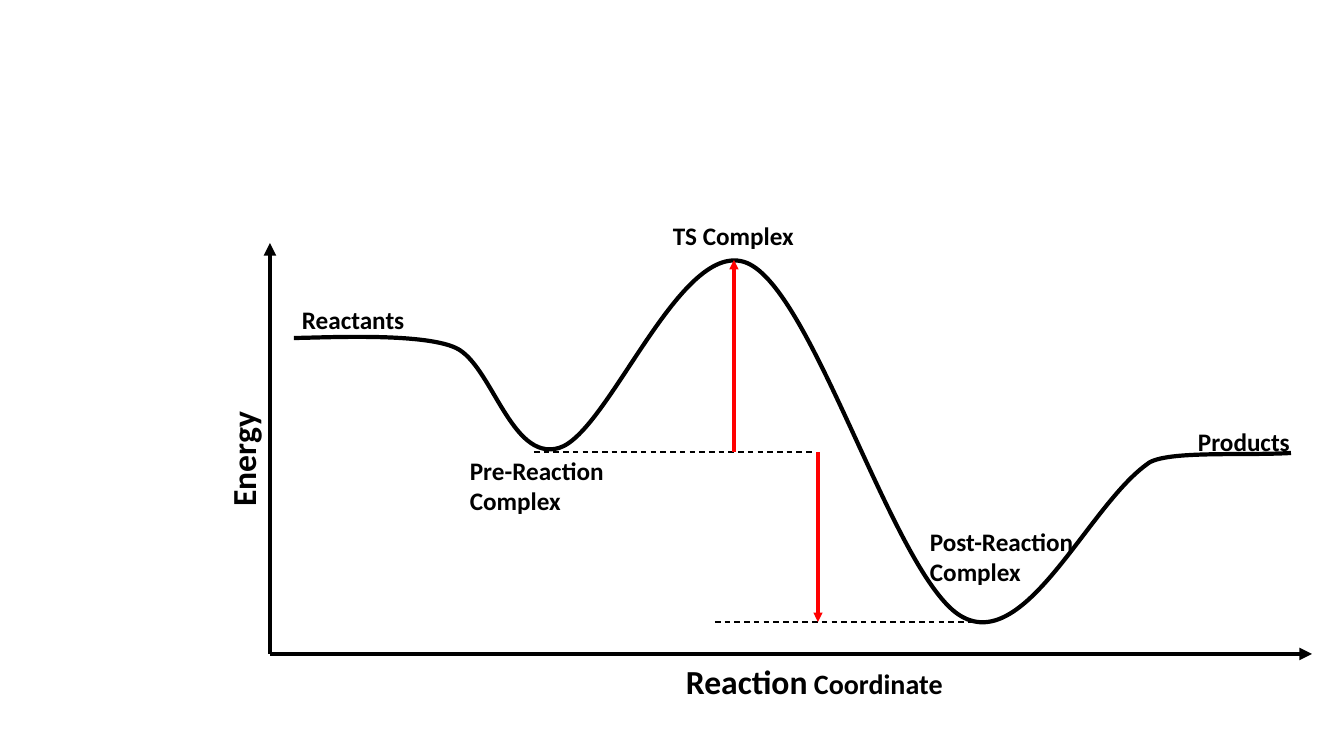
from lxml.etree import SubElement
from pptx import Presentation
from pptx.dml.color import RGBColor
from pptx.enum.dml import MSO_LINE
from pptx.enum.shapes import MSO_CONNECTOR
from pptx.enum.text import MSO_AUTO_SIZE
from pptx.oxml.ns import qn
from pptx.util import Pt

PX = 12192000 / 1344
BLACK, RED = "000000", "FF0000"


def add_text(page, lines, left, top, width, height, wrap=False, turn=0):
    box = page.shapes.add_textbox(*(round(n * PX) for n in (left, top, width, height)))
    box.rotation = turn
    frame = box.text_frame
    frame.word_wrap = wrap
    frame.auto_size = MSO_AUTO_SIZE.SHAPE_TO_FIT_TEXT
    for index, spans in enumerate(lines):
        para = frame.paragraphs[0] if index == 0 else frame.add_paragraph()
        for text, size in spans:
            span = para.add_run()
            span.text = text
            span.font.name = "Calibri"
            span.font.size = Pt(size)
            span.font.bold = True
            span.font.color.rgb = RGBColor.from_string(BLACK)


def add_line(page, start, end, width, color=BLACK, arrow=True):
    line = page.shapes.add_connector(
        MSO_CONNECTOR.STRAIGHT, *(round(n * PX) for n in (*start, *end)))
    line.line.width = Pt(width)
    line.line.color.rgb = RGBColor.from_string(color)
    if arrow:
        SubElement(line.line._get_or_add_ln(), qn("a:tailEnd"), type="triangle")
    else:
        line.line.dash_style = MSO_LINE.DASH
    SubElement(line._element.spPr, qn("a:effectLst"))


deck = Presentation()
deck.slide_width, deck.slide_height = round(1344 * PX), round(756 * PX)
page = deck.slides.add_slide(deck.slide_layouts[6])

origin = (270, 654)
add_line(page, origin, (270, 243), 3)
add_line(page, origin, (1312, 654), 3)
add_text(page, [[("Reaction", 24), (" Coordinate", 20)]], 676, 656, 284, 50, wrap=True)
add_text(page, [[("Energy", 24)]], 175, 424, 135, 50, wrap=True, turn=270)

curve_left, curve_top, curve_right, curve_bottom = 294, 260, 1291, 622
curve_pieces = [
    ("moveTo", [(294, 338)]),
    ("cubicBezTo", [(319, 338), (422, 332), (456, 348)]),
    ("cubicBezTo", [(492, 365), (511, 462), (559, 448)]),
    ("cubicBezTo", [(609, 433), (681, 236), (747, 263)]),
    ("cubicBezTo", [(812, 290), (889, 559), (955, 612)]),
    ("cubicBezTo", [(1021, 663), (1085, 510), (1146, 465)]),
    ("cubicBezTo", [(1161, 450), (1240, 456), (1291, 453)]),
]
builder = page.shapes.build_freeform(curve_left, curve_top, scale=PX)
builder.add_line_segments([(curve_right, curve_bottom)], close=False)
energy_curve = builder.convert_to_shape()
outline = energy_curve._element.find(".//" + qn("a:path"))
for segment in list(outline):
    outline.remove(segment)
for kind, points in curve_pieces:
    segment = SubElement(outline, qn("a:" + kind))
    for x, y in points:
        SubElement(segment, qn("a:pt"), x=str(x - curve_left), y=str(y - curve_top))
energy_curve.shadow.inherit = False
energy_curve.fill.background()
energy_curve.line.width = Pt(3)
energy_curve.line.color.rgb = RGBColor.from_string(BLACK)

pre_level, post_level = 452, 622
add_line(page, (534, pre_level), (812, pre_level), 1, arrow=False)
add_line(page, (715, post_level), (994, post_level), 1, arrow=False)
add_line(page, (734, pre_level), (734, curve_top), 2.25, RED)
add_line(page, (818, pre_level), (818, post_level), 2.25, RED)

labels = [
    (["Reactants"], 292, 299, 124, 40),
    (["Products"], 1188, 421, 113, 40),
    (["TS Complex"], 663, 215, 142, 40),
    (["Pre-Reaction", "Complex"], 460, 450, 155, 72),
    (["Post-Reaction", "Complex"], 920, 521, 165, 72),
]
for lines, *place in labels:
    add_text(page, [[(line, 18)] for line in lines], *place)

deck.save("out.pptx")
